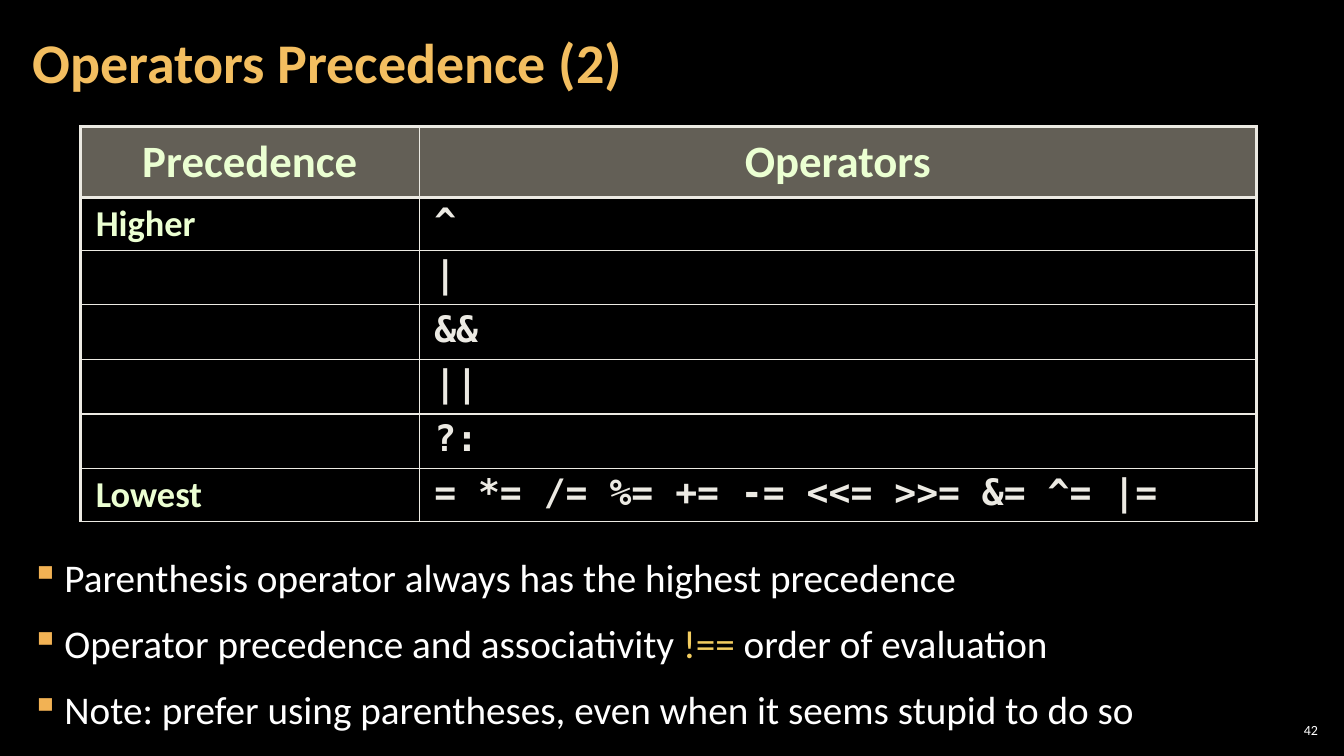
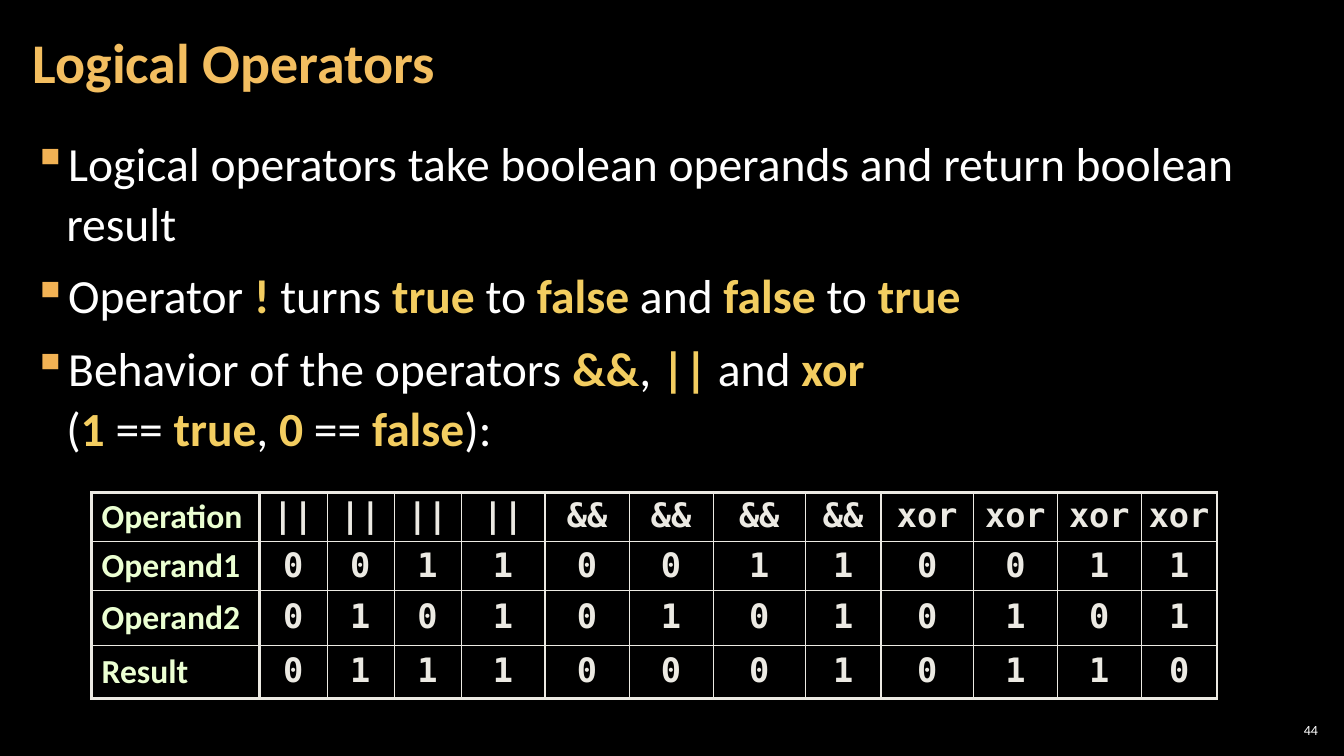
from dataclasses import dataclass

from lxml import etree
from pptx import Presentation
from pptx import util as u
from pptx.dml.color import RGBColor
from pptx.enum import text
from pptx.oxml import ns

# Shared look; lengths count units of a 160 x 90 grid
COLS, ROWS = 160, 90
UNIT = u.Inches(1 / 12)
COLORS = {
    "back": "000000", "text": "FFFFFF", "title": "F3BE60", "bullet": "F2B254",
    "accent": "F3CD60", "label": "EBFFD2", "code": "ECEAE3", "head": "C7BFAC",
}
SANS, MONO = "Calibri", "DejaVu Sans Mono"
LEFT, CENTER, RIGHT = text.PP_ALIGN.LEFT, text.PP_ALIGN.CENTER, text.PP_ALIGN.RIGHT
TOP, MIDDLE = text.MSO_ANCHOR.TOP, text.MSO_ANCHOR.MIDDLE
THICK = 2.25


@dataclass(frozen=True)
class Box:
    left: float
    top: float
    width: float
    height: float


@dataclass(frozen=True)
class Style:
    size: float
    color: str
    font: str = SANS
    bold: bool = False
    align: int = LEFT
    anchor: int = TOP
    spacing: float = 1.0
    inset: tuple = (1.4, 0.5)


@dataclass(frozen=True)
class Bullets:
    box: Box
    style: Style
    before: float
    accent_bold: bool
    items: tuple  # backquotes enclose accented words


@dataclass(frozen=True)
class Table:
    left: float
    top: float
    widths: tuple
    heights: tuple
    cells: list
    head: Style
    label: Style
    code: Style
    thin: float
    thick_x: set  # vertical rules drawn thick, counted from the left
    thick_y: set  # horizontal rules drawn thick, counted from the top
    head_fill: bool = False


TITLE_BOX, NUMBER_BOX = Box(2.5, 0.5, 125.5, 14.5), Box(151.8, 85.7, 5.6, 2.5)
TITLE = Style(40, "title", bold=True, anchor=MIDDLE, spacing=0.9)
NUMBER = Style(10, "text", align=RIGHT, anchor=MIDDLE, inset=(0.5, 0.5))


def grid(value: float) -> int:
    return round(value * UNIT)


def rgb(name: str) -> RGBColor:
    return RGBColor.from_string(COLORS[name])


def add_xml(parent, tag: str, **attrs):
    return etree.SubElement(parent, ns.qn(f"a:{tag}"), attrs)


def set_frame(tf, style: Style) -> None:
    tf.word_wrap = True
    tf.vertical_anchor = style.anchor
    tf.margin_left = tf.margin_right = grid(style.inset[0])
    tf.margin_top = tf.margin_bottom = grid(style.inset[1])


def format_paragraph(p, style: Style) -> None:
    p.alignment, p.line_spacing = style.align, style.spacing
    p.font.name, p.font.size, p.font.bold = style.font, u.Pt(style.size), style.bold
    p.font.color.rgb = rgb(style.color)


def place(sp, box: Box) -> None:
    sp.left, sp.top = grid(box.left), grid(box.top)
    sp.width, sp.height = grid(box.width), grid(box.height)


def write(sp, words: str, box: Box, style: Style) -> None:
    place(sp, box)
    set_frame(sp.text_frame, style)
    sp.text_frame.text = words
    format_paragraph(sp.text_frame.paragraphs[0], style)


def add_slide(prs, title: str, number: int):
    s = prs.slides.add_slide(prs.slide_layouts[5])
    write(s.shapes.title, title, TITLE_BOX, TITLE)
    write(s.shapes.add_textbox(0, 0, 0, 0), str(number), NUMBER_BOX, NUMBER)
    return s


# Bulleted text
def add_bullets(s, bullets: Bullets) -> None:
    sp = s.shapes.add_textbox(0, 0, 0, 0)
    place(sp, bullets.box)
    tf = sp.text_frame
    set_frame(tf, bullets.style)
    for i, item in enumerate(bullets.items):
        p = tf.add_paragraph() if i else tf.paragraphs[0]
        p.space_before, p.space_after = u.Pt(bullets.before if i else 0), u.Pt(6)
        pPr = p._p.get_or_add_pPr()
        pPr.set("marL", str(grid(4)))
        pPr.set("indent", str(-grid(4)))
        add_xml(add_xml(pPr, "buClr"), "srgbClr", val=COLORS["bullet"])
        add_xml(pPr, "buChar", char="▪")
        format_paragraph(p, bullets.style)
        for line_no, line in enumerate(item.split("\n")):
            if line_no:
                p.add_line_break()
            for part_no, part in enumerate(line.split("`")):
                if not part:
                    continue
                r = p.add_run()
                r.text = part
                if part_no % 2:
                    r.font.color.rgb = rgb("accent")
                    r.font.bold = bullets.accent_bold


# Tables
def set_borders(cell, widths: dict) -> None:
    tcPr = cell._tc.get_or_add_tcPr()
    for i, (side, width) in enumerate(widths.items()):
        ln = add_xml(tcPr, f"ln{side}", w=str(u.Pt(width)))
        add_xml(add_xml(ln, "solidFill"), "srgbClr", val=COLORS["code"])
        tcPr.insert(i, ln)


def fill_cell(cell, shaded: bool) -> None:
    if not shaded:
        cell.fill.background()
        return
    cell.fill.solid()
    cell.fill.fore_color.rgb = rgb("head")
    color = cell._tc.tcPr.find(".//" + ns.qn("a:srgbClr"))
    add_xml(color, "alpha", val="50000")


def add_table(s, t: Table) -> None:
    sp = s.shapes.add_table(len(t.heights), len(t.widths), grid(t.left), grid(t.top),
                            grid(sum(t.widths)), grid(sum(t.heights)))
    table = sp.table
    table.first_row = table.horz_banding = False
    for col, width in zip(table.columns, t.widths):
        col.width = grid(width)
    for row, height in zip(table.rows, t.heights):
        row.height = grid(height)

    def rule(index: int, thick: set) -> float:
        return THICK if index in thick else t.thin

    for y, row in enumerate(t.cells):
        for x, words in enumerate(row):
            cell = table.cell(y, x)
            style = t.label if x == 0 else t.code
            if y == 0 and t.head_fill:
                style = t.head
            set_frame(cell.text_frame, style)
            cell.vertical_anchor = style.anchor
            cell.margin_left = cell.margin_right = grid(style.inset[0])
            cell.margin_top = cell.margin_bottom = grid(style.inset[1])
            p = cell.text_frame.paragraphs[0]
            if words:
                p.text = words
            format_paragraph(p, style)
            fill_cell(cell, y == 0 and t.head_fill)
            set_borders(cell, {"L": rule(x, t.thick_x), "R": rule(x + 1, t.thick_x),
                               "T": rule(y, t.thick_y), "B": rule(y + 1, t.thick_y)})


# Content
CELL = dict(bold=True, spacing=0.95)
PRECEDENCE = Table(
    9.6, 15.1, (40.3, 99.7), (8.4, 6.3, 6.5, 6.5, 6.5, 6.5, 6.3),
    [("Precedence", "Operators"), ("Higher", "^"), ("", "|"), ("", "&&"), ("", "||"),
     ("", "?:"), ("Lowest", "= *= /= %= += -= <<= >>= &= ^= |=")],
    head=Style(32, "label", align=CENTER, anchor=MIDDLE, inset=(1.8, 0.6), **CELL),
    label=Style(26, "label", anchor=MIDDLE, inset=(1.8, 0.6), **CELL),
    code=Style(26, "code", MONO, inset=(1.8, 0.6), **CELL),
    thin=1, thick_x={0, 2}, thick_y={0, 1}, head_fill=True)
PRECEDENCE_NOTES = Bullets(
    Box(2.5, 65, 155, 20.6),
    Style(28, "text", spacing=1.05, inset=(1.2, 0.6)), 6, False,
    ("Parenthesis operator always has the highest precedence",
     "Operator precedence and associativity `!== `order of evaluation",
     "Note: prefer using parentheses, even when it seems stupid to do so"))

TRUTH_LABEL = Style(24, "label", anchor=MIDDLE, inset=(1.2, 0.6), **CELL)
TRUTH = Table(
    10.9, 58.6, (20, 8, 8, 8, 10, 10, 10, 11, 9, 11, 10, 10, 9), (5.85, 5.85, 6.45, 6.45),
    [("Operation", *["||"] * 4, *["&&"] * 4, *["xor"] * 4),
     ("Operand1", *"0011" * 3),
     ("Operand2", *"0101" * 3),
     ("Result", *"011100010110")],
    head=TRUTH_LABEL, label=TRUTH_LABEL,
    code=Style(24, "code", MONO, align=CENTER, anchor=MIDDLE, inset=(0.5, 0.5), **CELL),
    thin=0.25, thick_x={0, 1, 5, 9, 13}, thick_y={0, 4})
LOGICAL_NOTES = Bullets(
    Box(2.5, 15.1, 155, 73), Style(34, "text", spacing=1.05), 3, True,
    ("Logical operators take boolean operands and return boolean result",
     "Operator `! `turns `true` to `false` and `false `to `true`",
     "Behavior of the operators `&&`, `||` and `xor`\n(`1` == `true`, `0` == `false`):"))


def main() -> None:
    prs = Presentation()
    prs.slide_width, prs.slide_height = grid(COLS), grid(ROWS)
    back = prs.slide_master.background.fill
    back.solid()
    back.fore_color.rgb = rgb("back")

    # Precedence table with notes below
    s = add_slide(prs, "Operators Precedence (2)", 42)
    add_table(s, PRECEDENCE)
    add_bullets(s, PRECEDENCE_NOTES)

    # Logical operators with their truth table
    s = add_slide(prs, "Logical Operators", 44)
    add_bullets(s, LOGICAL_NOTES)
    add_table(s, TRUTH)

    prs.save("out.pptx")


if __name__ == "__main__":
    main()
